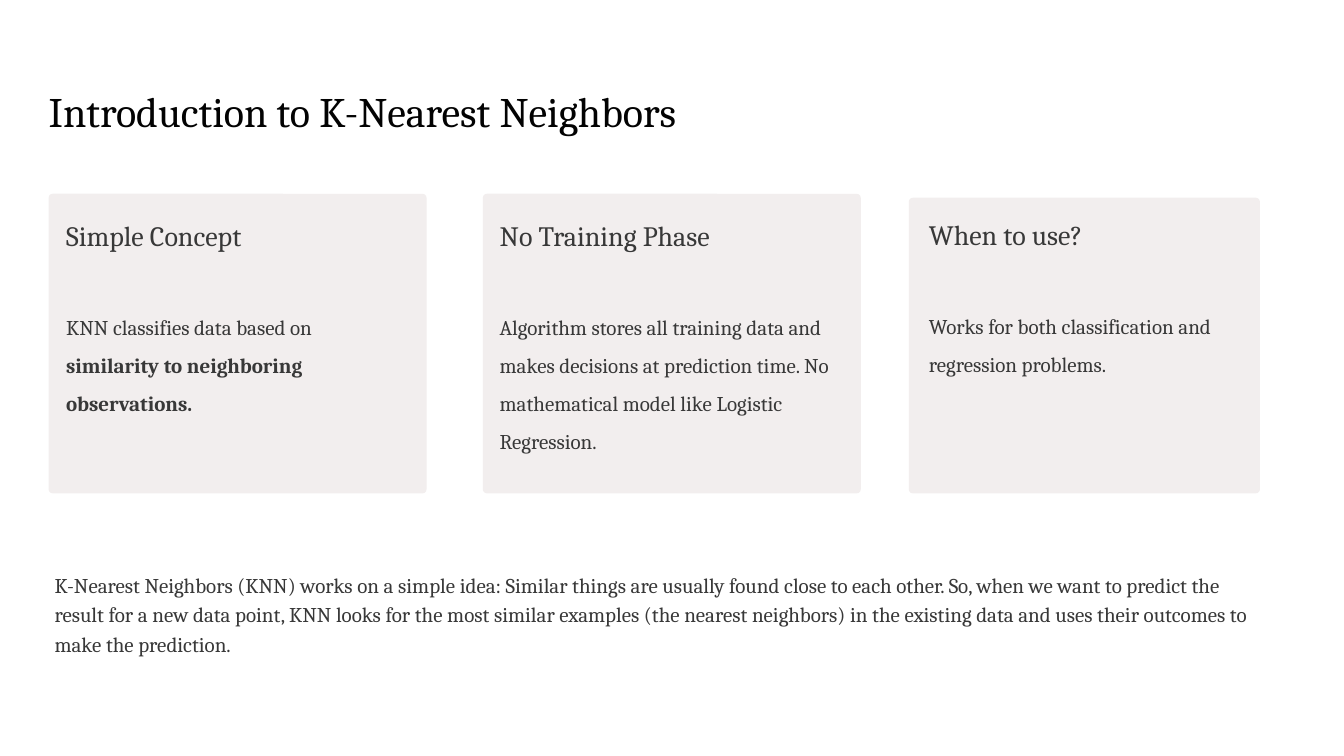
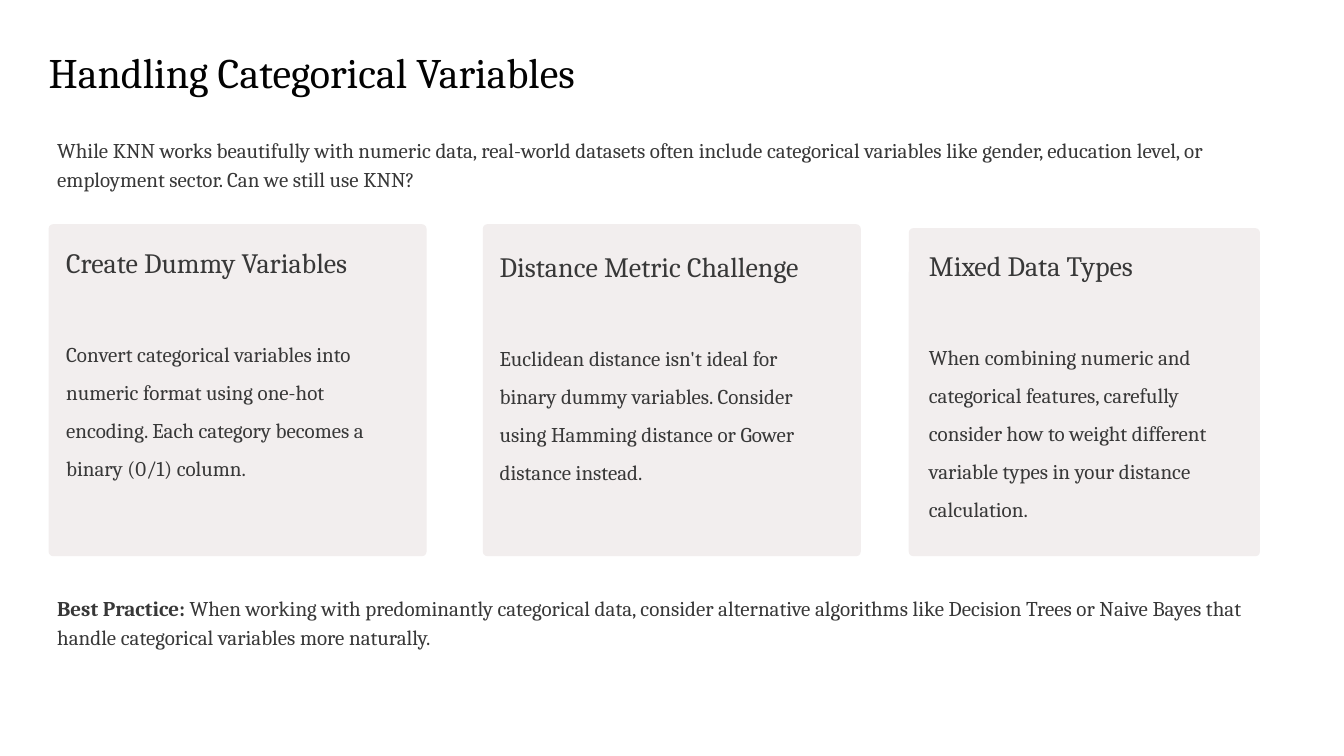
from dataclasses import dataclass

from pptx import Presentation
from pptx.dml.color import RGBColor
from pptx.enum.shapes import MSO_SHAPE as Shape
from pptx.enum.text import MSO_ANCHOR as Anchor, MSO_AUTO_SIZE as AutoSize, PP_ALIGN as Align
from pptx.util import Cm, Pt

# Shared style
FONT = "Cambria"
TITLE_COLOR = RGBColor(0x02, 0x02, 0x02)
TEXT_COLOR = RGBColor(0x38, 0x38, 0x38)
CARD_COLOR = RGBColor(0xF2, 0xEE, 0xEE)
TITLE_SIZE, HEADING_SIZE, BODY_SIZE = 36, 24, 18
TITLE_LINE, NOTE_LINE, CARD_LINE = Pt(51), Pt(25), 1.5
HEADING_GAP = Pt(43)
TITLE_ONLY = 5


# Lengths in centimetres
@dataclass
class Column:
    left: float
    width: float
    text_left: float
    text_width: float
    drop: float = 0


COLUMNS = [
    Column(1.47, 11.43, 2.0, 10.3),
    Column(14.6, 11.43, 15.11, 10.0),
    Column(27.48, 10.62, 28.09, 9.6, drop=0.12),
]


def prepare_frame(frame, top_inset=0):
    frame.word_wrap = True
    frame.auto_size = AutoSize.NONE
    frame.vertical_anchor = Anchor.TOP
    frame.margin_left = frame.margin_right = frame.margin_bottom = 0
    frame.margin_top = Cm(top_inset)


def write(paragraph, runs, size, spacing, color=TEXT_COLOR):
    """Fill a paragraph from (text, bold) pairs."""
    paragraph.alignment = Align.LEFT
    paragraph.line_spacing = spacing
    for text, bold in runs:
        run = paragraph.add_run()
        run.text = text
        run.font.name = FONT
        run.font.size = Pt(size)
        run.font.bold = bold
        run.font.color.rgb = color


def add_titled_slide(deck, title, top):
    slide = deck.slides.add_slide(deck.slide_layouts[TITLE_ONLY])
    heading = slide.shapes.title
    heading.left, heading.top = Cm(1.47), Cm(top)
    heading.width, heading.height = Cm(37.92), Cm(2.92)
    prepare_frame(heading.text_frame, top_inset=1.22)
    write(heading.text_frame.paragraphs[0], [(title, False)],
          TITLE_SIZE, TITLE_LINE, TITLE_COLOR)
    return slide


def add_text_frame(slide, left, top, width, height):
    box = slide.shapes.add_textbox(Cm(left), Cm(top), Cm(width), Cm(height))
    prepare_frame(box.text_frame)
    return box.text_frame


def add_note(slide, left, top, runs, height=1.8):
    frame = add_text_frame(slide, left, top, 36.2, height)
    write(frame.paragraphs[0], runs, BODY_SIZE, NOTE_LINE)


def add_card(slide, column, top, bottom, text_top, heading, body):
    card_top = top + column.drop
    card = slide.shapes.add_shape(
        Shape.ROUNDED_RECTANGLE, Cm(column.left), Cm(card_top),
        Cm(column.width), Cm(bottom - card_top))
    card.adjustments[0] = 0.014
    card.shadow.inherit = False
    card.fill.solid()
    card.fill.fore_color.rgb = CARD_COLOR
    card.line.fill.background()

    frame = add_text_frame(slide, column.text_left, text_top,
                           column.text_width, bottom - text_top)
    write(frame.paragraphs[0], [(heading, False)], HEADING_SIZE, CARD_LINE)
    description = frame.add_paragraph()
    description.space_before = HEADING_GAP
    write(description, body, BODY_SIZE, CARD_LINE)


def add_cards(slide, top, bottom, cards):
    for column, card in zip(COLUMNS, cards):
        add_card(slide, column, top, bottom, *card)


def build_introduction(deck):
    slide = add_titled_slide(deck, "Introduction to K-Nearest Neighbors", 1.09)
    add_cards(slide, 5.86, 14.92, [
        (6.1, "Simple Concept",
         [("KNN classifies data based on ", False),
          ("similarity to neighboring observations.", True)]),
        (6.1, "No Training Phase",
         [("Algorithm stores all training data and makes decisions at prediction "
           "time. No mathematical model like Logistic Regression.", False)]),
        (6.07, "When to use?",
         [("Works for both classification and regression problems.", False)]),
    ])
    add_note(slide, 1.65, 17.2, [
        ("K-Nearest Neighbors (KNN) works on a simple idea: Similar things are usually "
         "found close to each other. So, when we want to predict the result for a new "
         "data point, KNN looks for the most similar examples (the nearest neighbors) "
         "in the existing data and uses their outcomes to make the prediction.", False),
    ], height=2.7)


def build_categorical_variables(deck):
    slide = add_titled_slide(deck, "Handling Categorical Variables", -0.1)
    add_note(slide, 1.73, 4.04, [
        ("While KNN works beautifully with numeric data, real-world datasets often "
         "include categorical variables like gender, education level, or employment "
         "sector. Can we still use KNN?", False),
    ])
    add_cards(slide, 6.78, 16.82, [
        (6.91, "Create Dummy Variables",
         [("Convert categorical variables into numeric format using one-hot encoding. "
           "Each category becomes a binary (0/1) column.", False)]),
        (7.04, "Distance Metric Challenge",
         [("Euclidean distance isn't ideal for binary dummy variables. Consider using "
           "Hamming distance or Gower distance instead.", False)]),
        (7.01, "Mixed Data Types",
         [("When combining numeric and categorical features, carefully consider how to "
           "weight different variable types in your distance calculation.", False)]),
    ])
    add_note(slide, 1.73, 17.88, [
        ("Best Practice:", True),
        (" When working with predominantly categorical data, consider alternative "
         "algorithms like Decision Trees or Naive Bayes that handle categorical "
         "variables more naturally.", False),
    ])


def main():
    deck = Presentation()
    deck.slide_width, deck.slide_height = Cm(40.64), Cm(22.86)
    build_introduction(deck)
    build_categorical_variables(deck)
    deck.save("out.pptx")


if __name__ == "__main__":
    main()
